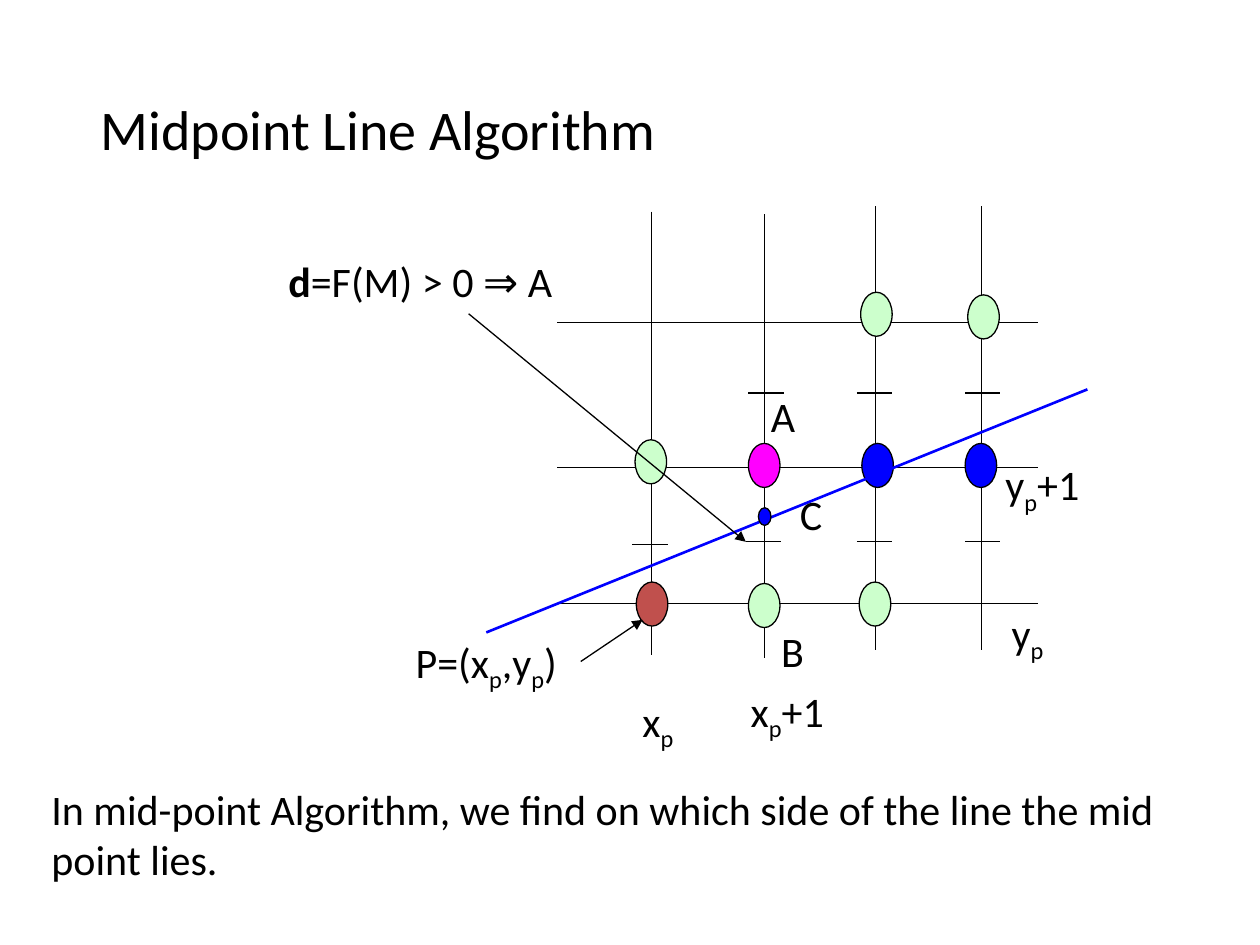
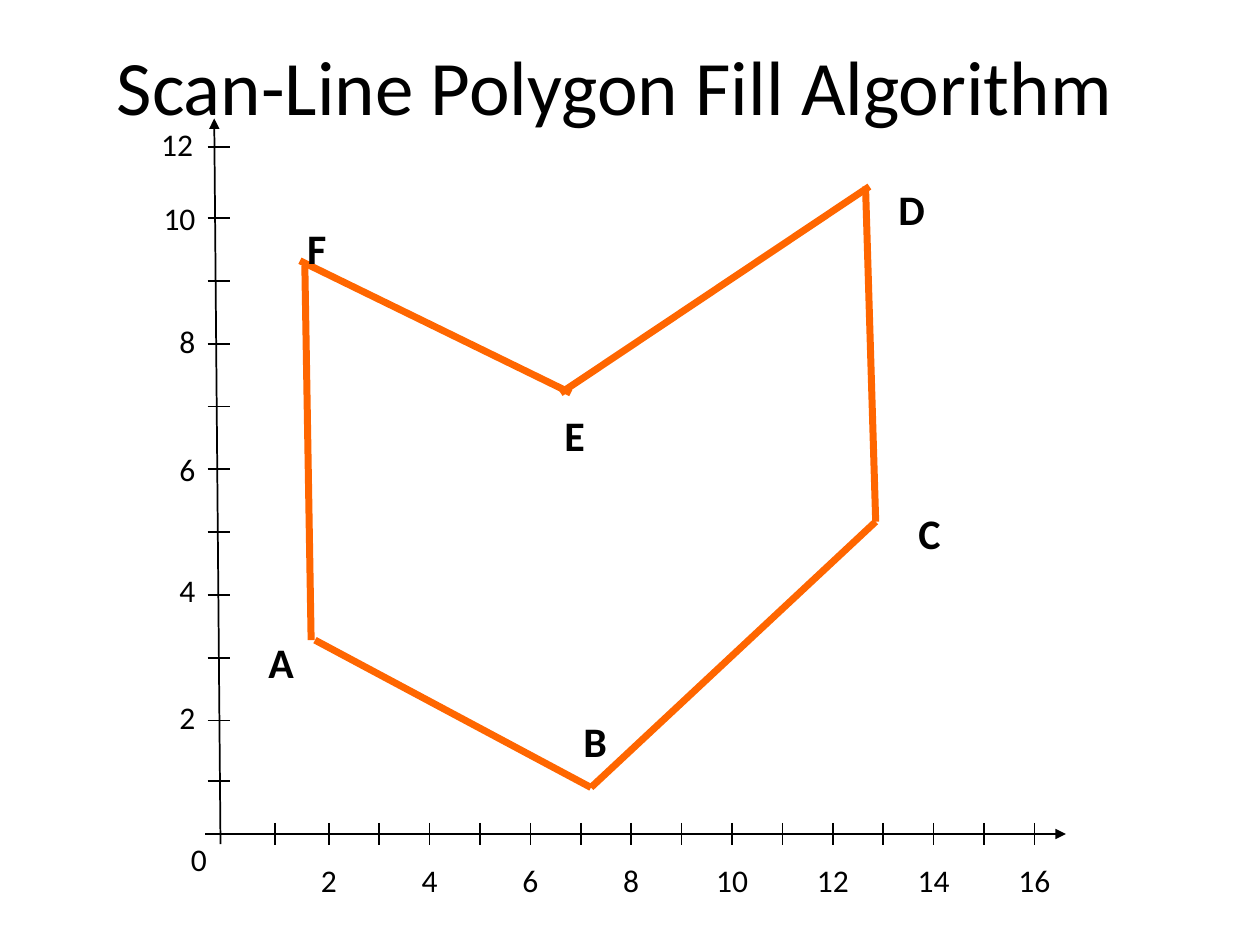
from dataclasses import dataclass

from lxml import etree
from pptx import Presentation
from pptx.dml.color import RGBColor
from pptx.enum.shapes import MSO_CONNECTOR, MSO_SHAPE
from pptx.enum.text import MSO_ANCHOR, MSO_AUTO_SIZE, PP_ALIGN
from pptx.oxml.ns import qn
from pptx.util import Pt

STRAIGHT = MSO_CONNECTOR.STRAIGHT
OVAL = MSO_SHAPE.OVAL
LEFT, MID, RIGHT = PP_ALIGN.LEFT, PP_ALIGN.CENTER, PP_ALIGN.RIGHT
TOP, CENTRE = MSO_ANCHOR.TOP, MSO_ANCHOR.MIDDLE
GROW = MSO_AUTO_SIZE.SHAPE_TO_FIT_TEXT


@dataclass(frozen=True)
class Theme:
    font: str = "Calibri"
    ink: str = "000000"
    blue: str = "0000FF"
    green: str = "CCFFCC"
    pink: str = "FF00FF"
    red: str = "C0504D"
    orange: str = "FF6600"
    banner: int = 44
    title: int = 32
    body: int = 24
    small: int = 18
    thin: float = 0.75
    axis: float = 1
    line: float = 1.5
    edge: float = 4


THEME = Theme()


def paint(color):
    return RGBColor.from_string(color)


def add_text(slide, box, text, size=THEME.body, align=LEFT, wrap=False,
             bold=False, anchor=TOP, grow=True):
    shape = slide.shapes.add_textbox(*map(Pt, box))
    frame = shape.text_frame
    frame.word_wrap = wrap
    frame.vertical_anchor = anchor
    if grow:
        frame.auto_size = GROW
    para = frame.paragraphs[0]
    para.alignment = align
    for index, part in enumerate(text.split("_")):
        if not part:
            continue
        run = para.add_run()
        run.text = part
        run.font.name = THEME.font
        run.font.size = Pt(size)
        run.font.bold = bold
        run.font.color.rgb = paint(THEME.ink)
        if index % 2:
            run._r.get_or_add_rPr().set("baseline", "-25000")
    return para


def add_line(slide, ends, width=THEME.thin, color=THEME.ink, arrow=False):
    line = slide.shapes.add_connector(STRAIGHT, *map(Pt, ends))
    line.line.width = Pt(width)
    line.line.color.rgb = paint(color)
    if arrow:
        ln = line.line._get_or_add_ln()
        etree.SubElement(ln, qn("a:tailEnd"), type="triangle")
    etree.SubElement(line._element.spPr, qn("a:effectLst"))


def add_dot(slide, x, y, fill, wide=18, high=25.2):
    box = (x - wide / 2, y - high / 2, wide, high)
    dot = slide.shapes.add_shape(OVAL, *map(Pt, box))
    dot.shadow.inherit = False
    dot.fill.solid()
    dot.fill.fore_color.rgb = paint(fill)
    dot.line.color.rgb = paint(THEME.ink)
    dot.line.width = Pt(THEME.thin)


def add_grid(slide):
    for y in (184.3, 267.1, 344.9):
        add_line(slide, (318.5, y, 593, y))
    for x, top in ((372.2, 121), (437, 122.4), (500.4, 118), (560.9, 118)):
        add_line(slide, (x, top, x, top + 253.4))
    marks = ((371.5, 311), (436.3, 309.6), (499.7, 309.6), (561.6, 309.6),
             (437.8, 224.6), (499.7, 224.6), (561.6, 224.6))
    for x, y in marks:
        add_line(slide, (x - 10.1, y, x + 10.1, y))


def draw_midpoint(slide):
    add_text(slide, (50.4, 50.4, 335.5, 46), "Midpoint Line Algorithm", THEME.title)
    add_grid(slide)
    dots = ((372.6, 345.2, THEME.red), (371.9, 263.9, THEME.green),
            (436.7, 346, THEME.green), (436.7, 266, THEME.pink),
            (500.8, 179.6, THEME.green), (501.5, 266, THEME.blue),
            (562, 181.1, THEME.green), (560.5, 266, THEME.blue),
            (500, 345.2, THEME.green))
    for x, y, fill in dots:
        add_dot(slide, x, y, fill)
    add_line(slide, (621.4, 222.5, 277.9, 361.4), THEME.line, THEME.blue)
    add_dot(slide, 437, 295.2, THEME.blue, 7.2, 10.1)
    add_line(slide, (267.8, 179.3, 426.2, 309.6), arrow=True)
    add_line(slide, (331.9, 378, 367.2, 354.2), arrow=True)

    test = add_text(slide, (157.7, 142.6, 220.3, 36), "d__=F(M) > 0 ⇒ A", wrap=True)
    test.runs[0].font.bold = True
    labels = ((230.4, 360, 101.5, "P=(x_p_,y_p_)", True),
              (450, 275.8, 30.2, "C", True),
              (439.2, 354.2, 30.2, "B", True),
              (433.4, 219.6, 50.4, "A", True),
              (421.9, 388.1, 57.6, "x_p_+1", False),
              (360, 393.8, 33.1, "x_p", False),
              (567.4, 258.5, 58.3, "y_p_+1", False),
              (571, 343.4, 33.8, "y_p", False))
    for x, y, wide, text, wrap in labels:
        add_text(slide, (x, y, wide, 36), text, wrap=wrap)
    add_text(slide, (22.3, 444.2, 669.6, 65.5),
             "In mid-point Algorithm, we find on which side of the line the mid point lies.",
             wrap=True)


def add_axes(slide):
    add_line(slide, (126, 482.4, 122.4, 67.7), THEME.axis, arrow=True)
    add_line(slide, (117.4, 476.6, 609.1, 476.6), THEME.axis, arrow=True)
    for y in [446.4, *(411.8 - 35.9 * n for n in range(9)), 84.2]:
        add_line(slide, (118.6, y, 131.6, y), THEME.axis)
    for x in [157, *(187.9 + 28.8 * n for n in range(15))]:
        add_line(slide, (x, 470.2, x, 483.1), THEME.axis)

    tops = (395.3, 322.6, 253.4, 180.7, 110.2, 67.7)
    rows = [(118.8, top, 2 * n) for n, top in enumerate(tops, 1)]
    rows[-1] = (117.4, tops[-1], 12)
    for right, top, value in [(125.3, 476.6, 0), *rows]:
        wide = 24.5 if value < 10 else 34.5
        add_text(slide, (right - wide, top, wide, 28.8), str(value), THEME.small, RIGHT)
    for n in range(8):
        value = 2 * n + 2
        wide = 24.5 if value < 10 else 34.5
        left = 187.9 + 57.6 * n - wide / 2
        add_text(slide, (left, 488.2, wide, 28.8), str(value), THEME.small, MID)


def draw_fill(slide):
    add_text(slide, (16.6, 0, 669.6, 97.2), "Scan-Line Polygon Fill Algorithm",
             THEME.banner, MID, wrap=True, anchor=CENTRE, grow=False)
    edges = ((174.2, 151.9, 177.8, 365.8), (171.4, 149, 326.2, 224.6),
             (320.4, 224.6, 496.8, 106.6), (500.4, 298.1, 494.6, 106.6),
             (337.7, 450, 180, 365.8), (337.7, 450, 500.4, 298.1))
    for ends in edges:
        add_line(slide, ends, THEME.edge, THEME.orange)
    add_axes(slide)
    points = (("A", 146.2, 360, 29.5), ("B", 326.2, 405.4, 28.1),
              ("C", 517.7, 286.6, 27.4), ("D", 506.2, 101.5, 28.1),
              ("E", 315.4, 230.4, 26.6), ("F", 168.5, 123.8, 25.9))
    for name, x, y, wide in points:
        add_text(slide, (x, y, wide, 36), name, bold=True)


def main():
    deck = Presentation()
    deck.slide_width, deck.slide_height = Pt(720), Pt(540)
    for draw in (draw_midpoint, draw_fill):
        draw(deck.slides.add_slide(deck.slide_layouts[6]))
    deck.save("out.pptx")


if __name__ == "__main__":
    main()
